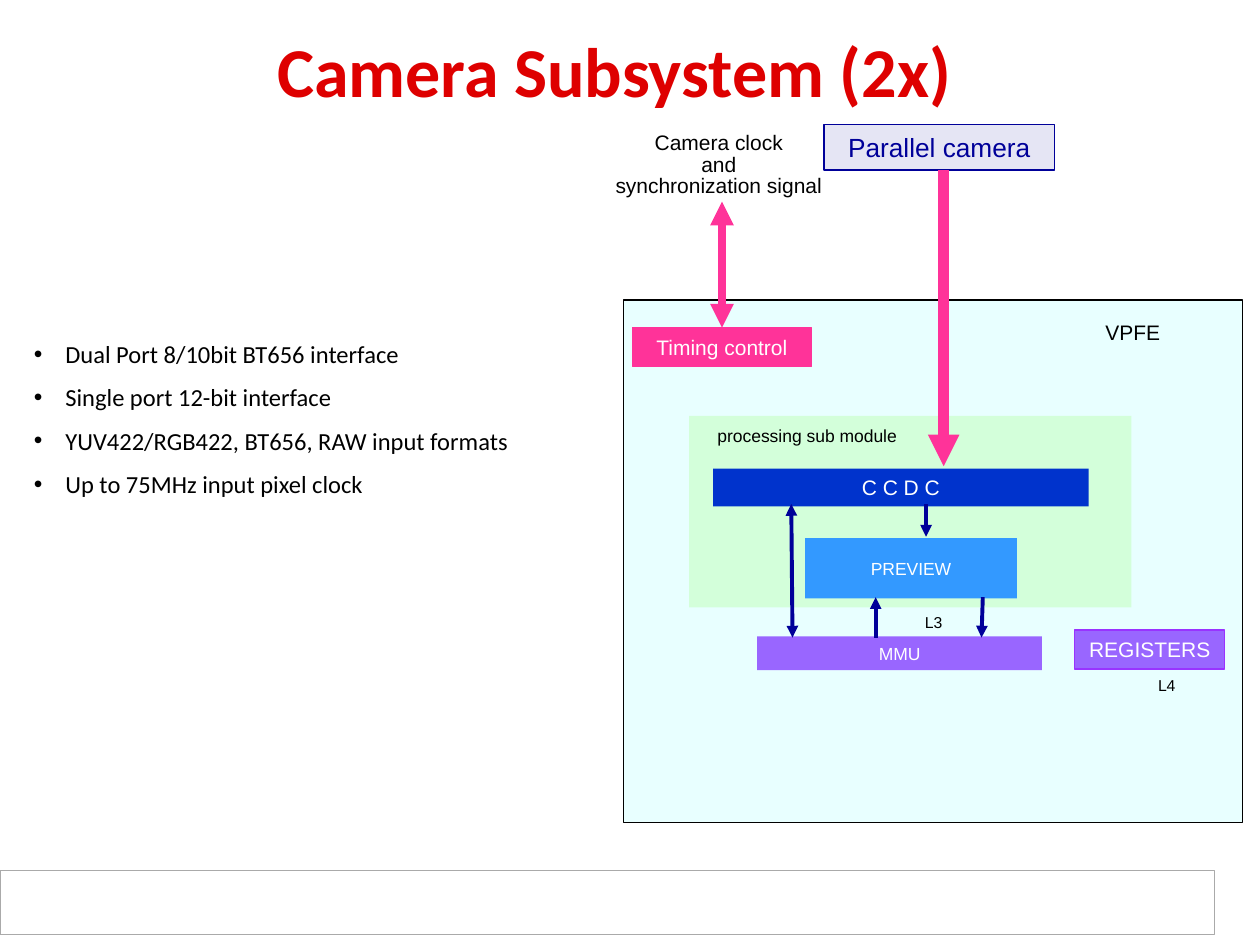
from lxml.etree import SubElement
from pptx import Presentation
from pptx.dml.color import RGBColor
from pptx.enum.shapes import MSO_CONNECTOR, MSO_SHAPE
from pptx.enum.text import MSO_ANCHOR, PP_ALIGN
from pptx.oxml.ns import qn
from pptx.util import Inches, Pt

COLS, ROWS = 100, 75  # grid of square cells over the slide
CELL = Inches(10) / COLS
NAVY, PINK, PURPLE = "000099", "FF3399", "9966FF"
WHITE, BLACK = "FFFFFF", "000000"

TITLE = "Camera Subsystem (2x)"
FEATURES = [
    "Dual Port 8/10bit BT656 interface",
    "Single port 12-bit interface",
    "YUV422/RGB422, BT656, RAW input formats",
    "Up to 75MHz input pixel clock",
]
# name: (left, top, width, height), fill, opacity %, line, text, size, text colour
BLOCKS = {
    "footer": ((0, 69.1, 96.4, 5.1), WHITE, 100, "AAAAAA", "", 0, BLACK),
    "vpfe": ((49.5, 23.8, 49.1, 41.5), "CCFFFF", 44, BLACK, "", 0, BLACK),
    "processing": ((54.7, 33, 35.1, 15.2), "CCFFCC", 72, None, "", 0, BLACK),
    "preview": ((63.9, 42.7, 16.8, 4.8), "3399FF", 100, None, "PREVIEW", 10, WHITE),
    "camera": ((65.4, 9.9, 18.3, 3.6), NAVY, 10, NAVY, "Parallel camera", 15, NAVY),
    "ccdc": ((56.6, 37.2, 29.8, 3), "0033CC", 100, None, "C C D C", 12, WHITE),
    "mmu": ((60.1, 50.5, 22.6, 2.7), PURPLE, 100, None, "MMU", 10, WHITE),
    "registers": ((85.3, 50, 11.9, 3.1), PURPLE, 100, "9933FF", "REGISTERS", 12, WHITE),
    "timing": ((50.2, 26, 14.2, 3.1), PINK, 100, PINK, "Timing control", 12, WHITE),
}
# start, end, colour, width, arrowheads
ARROWS = [
    ((73.5, 40), (73.5, 42.6), NAVY, 2.25, ["tailEnd"]),
    ((78, 47.4), (77.9, 50.6), NAVY, 2.25, ["tailEnd"]),
    ((62.8, 40), (62.9, 50.6), NAVY, 2.25, ["headEnd", "tailEnd"]),
    ((69.5, 47.4), (69.5, 50.6), NAVY, 2.25, ["headEnd"]),
    ((74.9, 13.5), (74.9, 37), PINK, 6, ["tailEnd"]),
    ("timing", (57.3, 16), PINK, 4.5, ["headEnd", "tailEnd"]),
]
# box, lines, size, line spacing
LABELS = [
    ((86, 24.9, 7.8, 3), ["VPFE"], 12, 1),
    ((55.2, 33.2, 17.7, 2.7), ["processing sub module"], 10, 1),
    ((70.2, 48.1, 7.8, 2.5), ["L3"], 9, 1),
    ((88.7, 53.1, 7.8, 2.5), ["L4"], 9, 1),
    ((46.6, 10.6, 20.9, 5.4), ["Camera clock", "and", "synchronization signal"], 12, 0.85),
]


def rgb(color):
    return RGBColor.from_string(color)


def cells(values):
    return [round(v * CELL) for v in values]


def add_run(p, text, size, color, font="Arial", bold=False):
    r = p.add_run()
    r.text = text
    r.font.name, r.font.size, r.font.bold = font, Pt(size), bold
    r.font.color.rgb = rgb(color)


def write(tf, lines, size, color, spacing=1):
    """Fill a frame with centred lines and no inner margins."""
    tf.word_wrap = False
    tf.margin_left = tf.margin_right = tf.margin_top = tf.margin_bottom = 0
    tf.vertical_anchor = MSO_ANCHOR.MIDDLE
    for i, line in enumerate(lines):
        p = tf.add_paragraph() if i else tf.paragraphs[0]
        p.alignment, p.line_spacing = PP_ALIGN.CENTER, spacing
        add_run(p, line, size, color)


def add_block(shapes, box, fill, opacity, line, text, size, color):
    sp = shapes.add_shape(MSO_SHAPE.RECTANGLE, *cells(box))
    sp.shadow.inherit = False
    sp.fill.solid()
    sp.fill.fore_color.rgb = rgb(fill)
    if opacity < 100:
        clr = sp._element.spPr.find(qn("a:solidFill"))[0]
        SubElement(clr, qn("a:alpha"), val=str(opacity * 1000))
    if line:
        sp.line.color.rgb, sp.line.width = rgb(line), Pt(0.75)
    else:
        sp.line.fill.background()
    if text:
        write(sp.text_frame, [text], size, color)
    return sp


def add_arrow(shapes, blocks, start, end, color, width, heads):
    """Draw an arrow; a named start is joined to the top of that block."""
    joined = blocks.get(start) if isinstance(start, str) else None
    first = end if joined else start
    cx = shapes.add_connector(MSO_CONNECTOR.STRAIGHT, *cells(first + end))
    if joined:
        cx.begin_connect(joined, 0)
    cx.line.color.rgb, cx.line.width = rgb(color), Pt(width)
    for head in heads:
        SubElement(cx.line._get_or_add_ln(), qn(f"a:{head}"), type="triangle")
    SubElement(cx._element.spPr, qn("a:effectLst"))


def add_title(s):
    title = s.shapes.title
    title.left, title.top, title.width, title.height = cells((2.5, 1.6, 92.5, 8.9))
    tf = title.text_frame
    tf.vertical_anchor = MSO_ANCHOR.MIDDLE
    p = tf.paragraphs[0]
    p.alignment, p.line_spacing = PP_ALIGN.CENTER, 0.85
    add_run(p, TITLE, 40, "DE0000", "Calibri", True)


def add_features(shapes):
    tf = shapes.add_textbox(*cells((1.7, 26.4, 44.8, 33.2))).text_frame
    tf.word_wrap = True
    for i, feature in enumerate(FEATURES):
        p = tf.add_paragraph() if i else tf.paragraphs[0]
        pPr = p._p.get_or_add_pPr()
        pPr.set("marL", str(Inches(0.25)))
        pPr.set("indent", str(-Inches(0.25)))
        SubElement(pPr, qn("a:buFont"), typeface="Arial")
        SubElement(pPr, qn("a:buChar"), char="•")
        p.space_before = Pt(8 if i else 0)
        add_run(p, feature, 14, BLACK, "Calibri")


def main():
    prs = Presentation()
    prs.slide_width, prs.slide_height = cells((COLS, ROWS))
    s = prs.slides.add_slide(prs.slide_layouts[5])
    add_title(s)
    add_features(s.shapes)
    blocks = {name: add_block(s.shapes, *b) for name, b in BLOCKS.items()}
    for arrow in ARROWS:
        add_arrow(s.shapes, blocks, *arrow)
    for box, lines, size, spacing in LABELS:
        tf = s.shapes.add_textbox(*cells(box)).text_frame
        write(tf, lines, size, BLACK, spacing)
        if len(lines) > 1:
            tf.vertical_anchor = MSO_ANCHOR.TOP
    prs.save("out.pptx")


if __name__ == "__main__":
    main()
